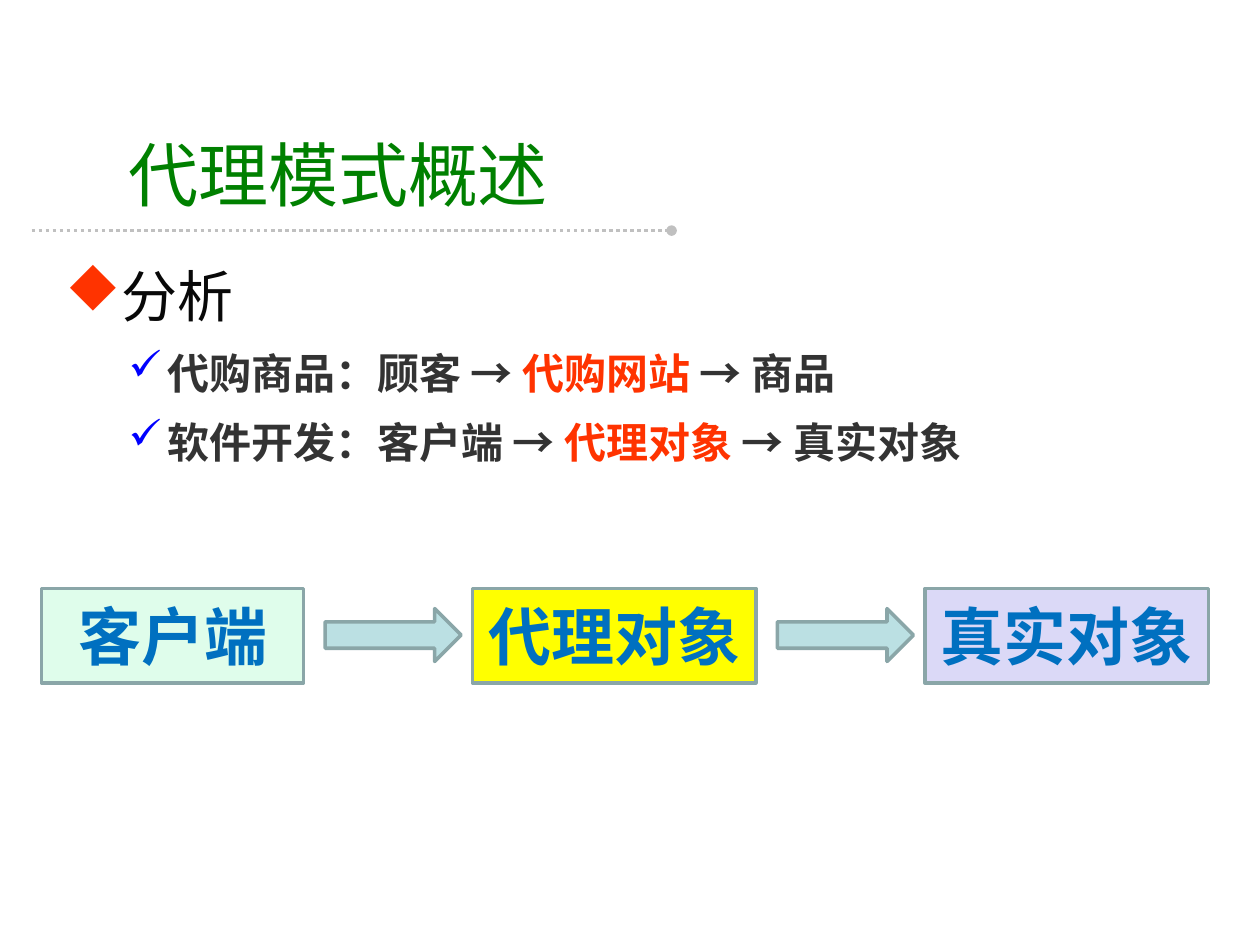
import lxml.etree
import pptx
import pptx.dml.color
import pptx.enum.dml
import pptx.enum.shapes
import pptx.enum.text
import pptx.oxml.ns
import pptx.util

Inches = pptx.util.Inches
Pt = pptx.util.Pt
SHAPES = pptx.enum.shapes.MSO_SHAPE
MIDDLE = pptx.enum.text.MSO_ANCHOR.MIDDLE

COLORS = {
    "title": "008000", "rule": "C0C0C0", "heading": "080808", "body": "333333",
    "accent": "FF3300", "check": "0000FF", "label": "0070C0", "border": "8AA6A8",
    "client": "DFFDEB", "proxy": "FFFF00", "subject": "DBD9F7", "arrow": "BBE0E3",
}

# Wingdings codes for the bullet symbols
DIAMOND, CHECK = "u", "ü"


def add_xml(parent, tag, **attributes):
    child = lxml.etree.SubElement(parent, pptx.oxml.ns.qn(tag))
    for name, value in attributes.items():
        child.set(name, value)
    return child


class ProxySlide:
    font_name = "Lato"

    def __init__(self, presentation):
        self.slide = presentation.slides.add_slide(presentation.slide_layouts[6])

    def color(self, name):
        return pptx.dml.color.RGBColor.from_string(COLORS[name])

    def style(self, run, size, color, bold=False):
        run.font.name = self.font_name
        run.font.size = Pt(size)
        run.font.bold = bold
        run.font.color.rgb = self.color(color)

    def text_box(self, left, top, width, height):
        box = self.slide.shapes.add_textbox(
            Inches(left), Inches(top), Inches(width), Inches(height))
        box.text_frame.word_wrap = True
        return box.text_frame

    def title(self, text, *bounds):
        frame = self.text_box(*bounds)
        frame.vertical_anchor = MIDDLE
        frame.text = text
        self.style(frame.paragraphs[0].runs[0], 40, "title")

    def dotted_rule(self, left, right, y):
        rule = self.slide.shapes.add_connector(
            pptx.enum.shapes.MSO_CONNECTOR.STRAIGHT,
            Inches(left), Inches(y), Inches(right), Inches(y))
        rule.line.color.rgb = self.color("rule")
        rule.line.width = Pt(2)
        rule.line.dash_style = pptx.enum.dml.MSO_LINE.ROUND_DOT
        add_xml(rule.line._get_or_add_ln(), "a:tailEnd", type="oval")
        add_xml(rule._element.spPr, "a:effectLst")

    def bullet(self, paragraph, parts, size, symbol, symbol_color, margin, hanging,
               bold=False, level=0):
        properties = paragraph._p.get_or_add_pPr()
        properties.set("marL", str(Inches(margin)))
        properties.set("indent", str(-Inches(hanging)))
        add_xml(add_xml(properties, "a:buClr"), "a:srgbClr", val=COLORS[symbol_color])
        add_xml(properties, "a:buFont", typeface="Wingdings", pitchFamily="2", charset="2")
        add_xml(properties, "a:buChar", char=symbol)
        paragraph.level = level
        paragraph.line_spacing = 1.2
        if level:
            paragraph.space_before = Pt(size * 0.2)
        for text, color in parts:
            run = paragraph.add_run()
            run.text = text
            self.style(run, size, color, bold)

    def analysis(self, heading, chains, *bounds):
        frame = self.text_box(*bounds)
        self.bullet(frame.paragraphs[0], [(heading, "heading")], 32,
                    DIAMOND, "accent", 0.38, 0.38)
        for start, middle, end in chains:
            parts = [(start, "body"), (middle, "accent"), (end, "body")]
            self.bullet(frame.add_paragraph(), parts, 24, CHECK, "check",
                        0.81, 0.31, bold=True, level=1)

    def block(self, kind, fill, left, top, width, height):
        block = self.slide.shapes.add_shape(
            kind, Inches(left), Inches(top), Inches(width), Inches(height))
        block.shadow.inherit = False
        block.fill.solid()
        block.fill.fore_color.rgb = self.color(fill)
        block.line.color.rgb = self.color("border")
        block.line.width = Pt(2)
        return block

    def role(self, text, fill, *bounds):
        frame = self.block(SHAPES.RECTANGLE, fill, *bounds).text_frame
        frame.word_wrap = False
        frame.vertical_anchor = MIDDLE
        frame.text = text
        frame.paragraphs[0].alignment = pptx.enum.text.PP_ALIGN.CENTER
        self.style(frame.paragraphs[0].runs[0], 36, "label", bold=True)

    def flow(self, roles, left, top):
        arrow_width, gap_before, gap_after = 1.08, 0.17, 0.09
        for index, (text, fill, width) in enumerate(roles):
            if index:
                left += gap_before
                self.block(SHAPES.RIGHT_ARROW, "arrow", left, top + 0.16,
                           arrow_width, 0.42)
                left += arrow_width + gap_after
            self.role(text, fill, left, top, width, 0.75)
            left += width


def main():
    presentation = pptx.Presentation()
    presentation.slide_width = Inches(10)
    presentation.slide_height = Inches(7.5)
    page = ProxySlide(presentation)

    # Title and dotted rule
    page.dotted_rule(0.25, 5.33, 1.83)
    page.title("代理模式概述", 0.92, 1, 6.92, 0.75)

    # Analysis bullets
    page.analysis("分析", [
        ("代购商品：顾客 → ", "代购网站 ", "→ 商品"),
        ("软件开发：客户端 → ", "代理对象 ", "→ 真实对象"),
    ], 0.42, 1.92, 9, 4.83)

    # Flow from client through proxy to real subject
    page.flow([
        ("客户端", "client", 2.08),
        ("代理对象", "proxy", 2.25),
        ("真实对象", "subject", 2.25),
    ], 0.33, 4.67)

    presentation.save("out.pptx")


if __name__ == "__main__":
    main()
